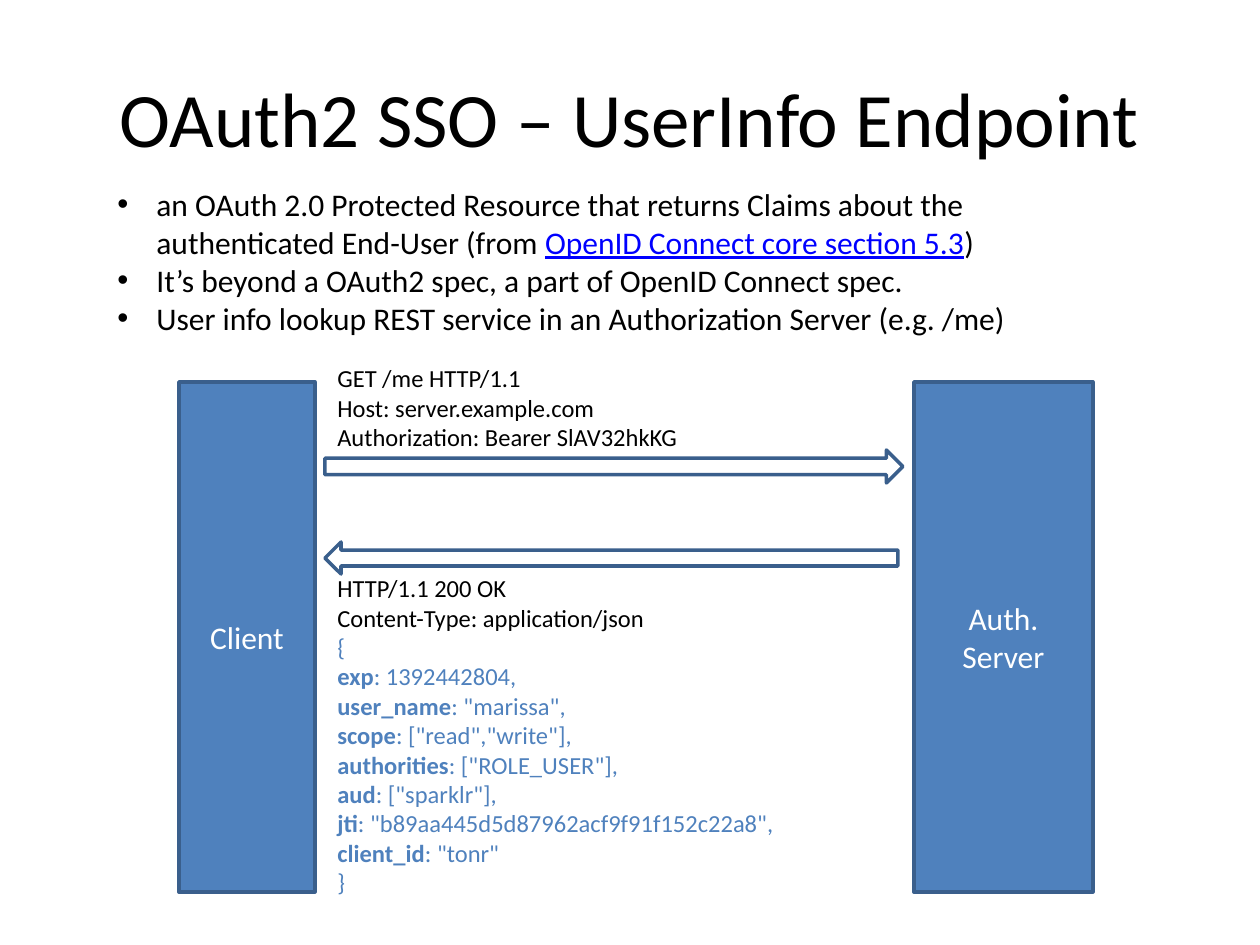
from pptx import Presentation
from pptx.dml.color import RGBColor
from pptx.enum.shapes import MSO_SHAPE as Shape
from pptx.enum.text import MSO_ANCHOR as Anchor, PP_ALIGN as Align
from pptx.oxml.ns import qn
from pptx.util import Pt
from lxml.etree import SubElement

PX = 914400 // 126
BLACK = RGBColor(0x00, 0x00, 0x00)
WHITE = RGBColor(0xFF, 0xFF, 0xFF)
BLUE = RGBColor(0x4F, 0x81, 0xBD)
EDGE = RGBColor(0x3A, 0x5F, 0x8C)
LINK = RGBColor(0x00, 0x00, 0xFF)

POINTS = [
    ["an OAuth 2.0 Protected Resource that returns Claims about the "
     "authenticated End-User (from ", "OpenID Connect core section 5.3", ")"],
    ["It’s beyond a OAuth2 spec, a part of OpenID Connect spec."],
    ["User info lookup REST service in an Authorization Server (e.g. /me)"],
]
REQUEST = [
    ["GET /me HTTP/1.1"],
    ["Host: server.example.com\vAuthorization: Bearer SlAV32hkKG"],
]
HEADERS = [["HTTP/1.1 200 OK"], ["Content-Type: application/json"]]
CLAIMS = [
    ["exp", ": 1392442804,"],
    ["user_name", ': "marissa",'],
    ["scope", ': ["read","write"],'],
    ["authorities", ': ["ROLE_USER"],'],
    ["aud", ': ["sparklr"],'],
    ["jti", ': "b89aa445d5d87962acf9f91f152c22a8",'],
    ["client_id", ': "tonr"'],
]


def scale(*box):
    return [n * PX for n in box]


def style(run, size, color):
    font = run.font
    font.name, font.size = "Calibri", Pt(size)
    font.color.rgb = color


def write(frame, lines, size, color=BLACK, align=Align.LEFT):
    """Fill the frame with one paragraph for each list of run texts."""
    frame.word_wrap = True
    for i, parts in enumerate(lines):
        para = frame.add_paragraph() if i else frame.paragraphs[0]
        para.alignment = align
        if len(parts) == 1:
            para.text = parts[0]
        else:
            for part in parts:
                para.add_run().text = part
        for run in para.runs:
            style(run, size, color)
    return frame.paragraphs


def add_text(slide, box, lines, size, **look):
    frame = slide.shapes.add_textbox(*scale(*box)).text_frame
    return write(frame, lines, size, **look)


def add_bullet(para):
    props = para._p.get_or_add_pPr()
    props.set("marL", str(39 * PX))
    props.set("indent", str(-39 * PX))
    SubElement(props, qn("a:buFont"), typeface="Arial")
    SubElement(props, qn("a:buChar"), char="•")


def add_shape(slide, kind, box, fill):
    shape = slide.shapes.add_shape(kind, *scale(*box))
    shape.shadow.inherit = False
    shape.fill.solid()
    shape.fill.fore_color.rgb = fill
    shape.line.color.rgb = EDGE
    shape.line.width = Pt(2)
    return shape


def add_party(slide, left, width, lines):
    shape = add_shape(slide, Shape.RECTANGLE, (left, 382, width, 510), BLUE)
    shape.text_frame.vertical_anchor = Anchor.MIDDLE
    write(shape.text_frame, lines, 18, WHITE, Align.CENTER)


def add_title(slide, text):
    paras = add_text(slide, (63, 38, 1134, 157), [[text]], 44,
                     align=Align.CENTER)
    slide.shapes[-1].text_frame.vertical_anchor = Anchor.MIDDLE
    return paras


def add_points(slide):
    paras = add_text(slide, (105, 179, 1029, 165), POINTS, 18)
    for para in paras:
        add_bullet(para)
    link = paras[0].runs[1]
    link.font.color.rgb = LINK
    link.font.underline = True


def add_reply(slide):
    lines = HEADERS + [["{"]] + CLAIMS + [["}"]]
    paras = add_text(slide, (325, 567, 567, 339), lines, 14)
    for para in paras[len(HEADERS):]:
        for run in para.runs:
            run.font.color.rgb = BLUE
        if len(para.runs) > 1:
            para.runs[0].font.bold = True


def main():
    deck = Presentation()
    deck.slide_width, deck.slide_height = scale(1260, 945)
    slide = deck.slides.add_slide(deck.slide_layouts[6])

    add_title(slide, "OAuth2 SSO – UserInfo Endpoint")
    add_points(slide)
    add_party(slide, 179, 136, [["Client"]])
    add_party(slide, 914, 179, [["Auth."], ["Server"]])
    add_text(slide, (325, 357, 428, 102), REQUEST, 14)
    add_reply(slide)
    add_shape(slide, Shape.RIGHT_ARROW, (325, 450, 578, 33), WHITE)
    back = add_shape(slide, Shape.RIGHT_ARROW, (325, 542, 573, 32), WHITE)
    back.rotation = 180

    deck.save("out.pptx")


if __name__ == "__main__":
    main()
